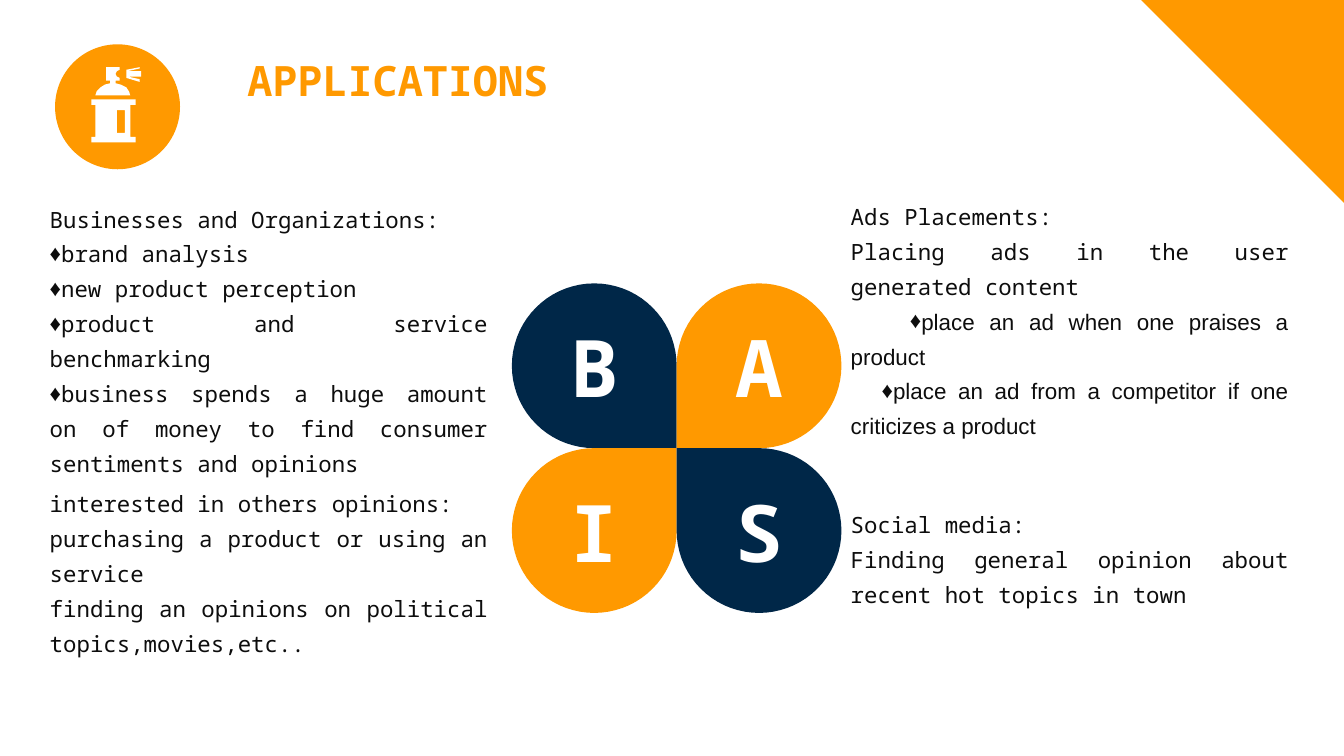
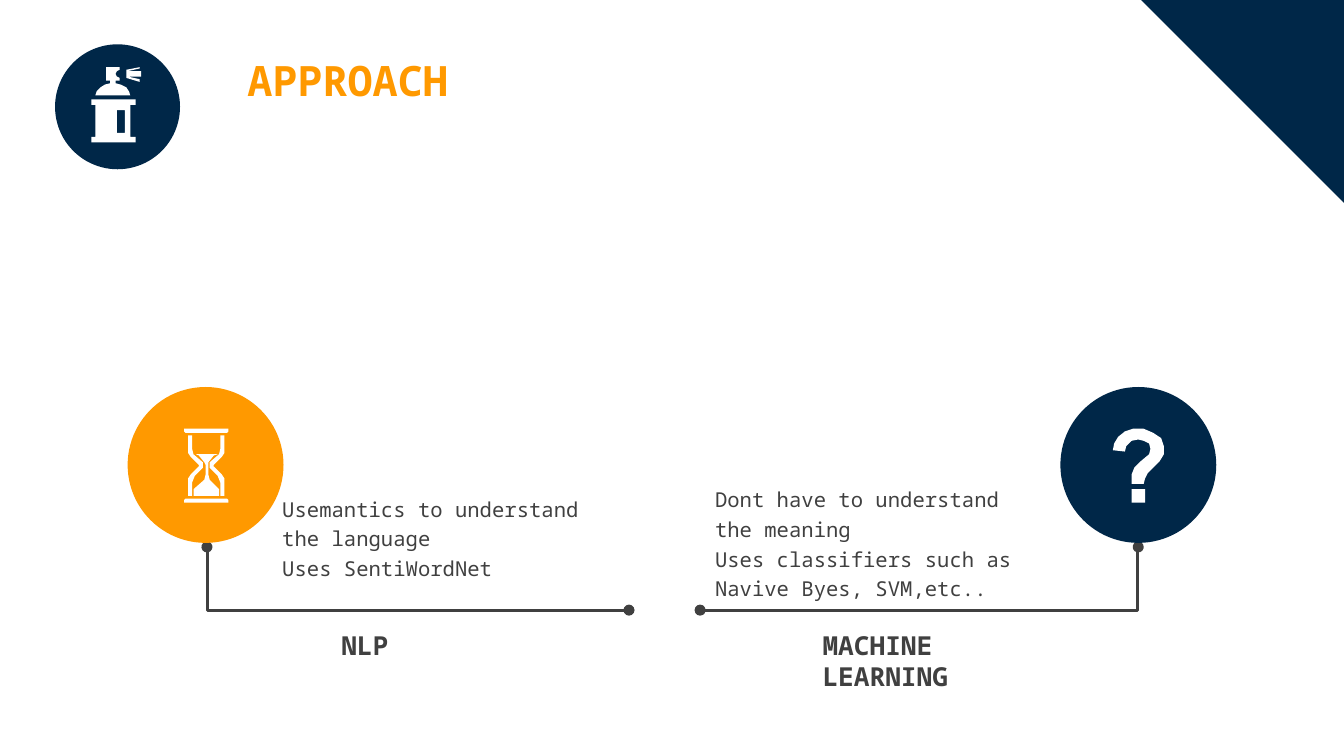
"""Build two slides on the applications of and approaches to sentiment analysis."""
from dataclasses import dataclass
from math import atan2, cos, radians, sin

from lxml.etree import SubElement
from pptx import Presentation
from pptx.dml.color import RGBColor
from pptx.enum.shapes import MSO_CONNECTOR, MSO_SHAPE
from pptx.enum.text import MSO_ANCHOR, MSO_AUTO_SIZE, PP_ALIGN
from pptx.oxml.ns import qn
from pptx.util import Inches, Pt


@dataclass(frozen=True)
class Theme:
    """Colours, fonts and type sizes shared by the slides."""

    orange: str = "FF9900"
    navy: str = "002748"
    white: str = "FFFFFF"
    ink: str = "0D0D0D"
    grey: str = "404040"
    font: str = "Noto Sans Mono"
    bullet_font: str = "Arial"
    title: float = 28
    letter: float = 42.5
    label: float = 14
    body: float = 12
    note: float = 11


THEME = Theme()
WIDTH = 10
HEIGHT = WIDTH * 9 / 16
COLUMNS, ROWS = (0.37, 6.33), (1.73, 3.38)
CELL_WIDTH, CELL_HEIGHTS = 3.26, (1.56, 1.51)
CIRCLE = 1.16
CROSS = (503.5, 333.5)
PETAL_RADIUS = 61.3

APPLICATIONS = [
    {"column": 0, "row": 0, "lines": [
        ("Businesses and Organizations:", None),
        ("brand analysis", 0),
        ("new product perception", 0),
        ("product and service benchmarking", 0),
        ("business spends a huge amount on of money to find consumer "
         "sentiments and opinions", 0)]},
    {"column": 0, "row": 1, "anchor": MSO_ANCHOR.BOTTOM, "lines": [
        ("interested in others opinions:", None),
        ("purchasing a product or using an service", None),
        ("finding an opinions on political topics,movies,etc..", None)]},
    {"column": 1, "row": 0, "bottom": 0.3, "bullet_text_font": THEME.bullet_font,
     "lines": [
         ("Ads Placements:", None),
         ("Placing ads in the user generated content", None),
         ("place an ad when one praises a product", 0.44),
         ("place an ad from a competitor if one criticizes a product", 0.23)]},
    {"column": 1, "row": 1, "lines": [
        ("Social media:", None),
        ("Finding general opinion about recent hot topics in town", None)]},
]
PETALS = [
    ("B", -1, -1, THEME.navy), ("A", 1, -1, THEME.orange),
    ("I", -1, 1, THEME.orange), ("S", 1, 1, THEME.navy),
]

SPRAY_CAN = [
    [(97, 78), (97, 102), (101, 102), (101, 106), (68, 106), (68, 102),
     (71, 102), (71, 78), (68, 78), (68, 74), (101, 74), (101, 78)],
    [(93, 82), (87, 82), (87, 99), (93, 99)],
    [(104, 59), (95, 57), (105, 57), (105, 53), (95, 53), (104, 51),
     (104, 50), (94, 52), (94, 58), (104, 61)],
    [(86, 60), (86, 62), (90, 63), (94, 65), (96, 68), (97, 71), (71, 71),
     (72, 68), (75, 65), (78, 63), (82, 62), (82, 60), (79, 60), (79, 50),
     (89, 50), (89, 52), (87, 53), (86, 55), (87, 57), (89, 58), (89, 60)],
]
GLASS_CAP = [(137, 319), (170, 319), (170, 321), (169, 322), (138, 322), (137, 321)]
GLASS_WALL = [
    (143, 324), (143, 334), (144, 338), (151, 344), (151, 348), (145, 354),
    (143, 359), (143, 369), (140, 369), (140, 356), (142, 353), (148, 347),
    (148, 346), (142, 340), (140, 337), (140, 324)]
SAND = [
    (144, 369), (163, 369), (163, 364), (156, 357), (155, 353), (155, 344),
    (159, 339), (162, 338), (146, 338), (148, 339), (152, 344), (153, 346),
    (153, 353), (152, 357), (144, 364)]
HOURGLASS = [
    [GLASS_CAP, [(x, 693 - y) for x, y in GLASS_CAP]],
    [GLASS_WALL, [(307 - x, y) for x, y in GLASS_WALL]],
    [SAND],
]
QUESTION_MARK = [[
    [(851, 360), (842, 360), (842, 353), (844, 348), (849, 343), (855, 338),
     (856, 334), (855, 330), (851, 328), (847, 327), (842, 328), (838, 332),
     (837, 336), (828, 335), (829, 330), (832, 325), (837, 321), (843, 319),
     (851, 319), (858, 322), (864, 326), (866, 332), (866, 338), (863, 343),
     (854, 352), (852, 356)],
    [(842, 364), (852, 364), (852, 374), (842, 374)],
]]

APPROACHES = [
    {"label": "NLP", "label_box": (2.19, 4.63, 1.05, 0.34), "align": PP_ALIGN.CENTER,
     "lines": ["Usemantics to understand the language", "Uses SentiWordNet"],
     "box": (2, 3.61, 2.49, 0.61), "circle": 0.95, "color": THEME.orange,
     "icon": HOURGLASS, "bend": (1.54, 4.68)},
    {"label": "MACHINE LEARNING", "label_box": (6.02, 4.63, 1.65, 0.81),
     "align": PP_ALIGN.LEFT,
     "lines": ["Dont have to understand the meaning",
               "Uses classifiers such as Navive Byes, SVM,etc.."],
     "box": (5.22, 3.54, 2.48, 0.61), "circle": 7.89, "color": THEME.navy,
     "icon": QUESTION_MARK, "bend": (8.47, 5.21)},
]


def place(shape, box):
    """Move a shape to a box given in inches."""
    shape.left, shape.top, shape.width, shape.height = map(Inches, box)


def paint(shape, color):
    """Give a shape a plain fill without line or shadow."""
    shape.shadow.inherit = False
    shape.fill.solid()
    shape.fill.fore_color.rgb = RGBColor.from_string(color)
    shape.line.fill.background()


def frame_text(shape, anchor, margins):
    """Set wrapping, anchor and margins (left, top, right, bottom)."""
    frame = shape.text_frame
    frame.word_wrap = True
    frame.auto_size = MSO_AUTO_SIZE.NONE
    frame.vertical_anchor = anchor
    (frame.margin_left, frame.margin_top,
     frame.margin_right, frame.margin_bottom) = map(Inches, margins)


def write(shape, lines, size, color, align, spacing=1.0, bold=False, bullet_text_font=None):
    """Write (text, bullet indent) lines, with no bullet where the indent is None."""
    frame = shape.text_frame
    for index, (text, indent) in enumerate(lines):
        paragraph = frame.add_paragraph() if index else frame.paragraphs[0]
        paragraph.text = text
        paragraph.alignment = align
        paragraph.line_spacing = spacing
        paragraph.space_before = paragraph.space_after = Pt(0)
        properties = paragraph._p.get_or_add_pPr()
        properties.set("marL", "0")
        properties.set("indent", str(Inches(indent or 0)))
        if indent is None:
            SubElement(properties, qn("a:buNone"))
        else:
            SubElement(properties, qn("a:buFont"), typeface=THEME.bullet_font)
            SubElement(properties, qn("a:buChar"), char="♦")
        font = paragraph.font
        font.name = THEME.font if indent is None else bullet_text_font or THEME.font
        font.size = Pt(size)
        font.bold = bold
        font.color.rgb = RGBColor.from_string(color)


def add_preset(slide, kind, box, color):
    """Add a plain preset shape."""
    shape = slide.shapes.add_shape(kind, *map(Inches, box))
    paint(shape, color)
    return shape


def add_outline(slide, contours, color):
    """Add a filled outline from contours in hundredths of an inch."""
    scaled = [[(Inches(x / 100), Inches(y / 100)) for x, y in contour]
              for contour in contours]
    builder = slide.shapes.build_freeform(*scaled[0][0])
    for index, contour in enumerate(scaled):
        if index:
            builder.move_to(*contour[0])
        builder.add_line_segments(contour[1:], close=True)
    shape = builder.convert_to_shape()
    paint(shape, color)
    return shape


def add_slide(presentation, title, color):
    """Add a slide with its title, badge and corner; return it with its bodies."""
    slide = presentation.slides.add_slide(presentation.slide_layouts[4])
    heading, *bodies = slide.placeholders
    place(heading, (1.78, 0.3, 5.98, 0.53))
    frame_text(heading, MSO_ANCHOR.TOP, (0.06, 0.03, 0.06, 0.03))
    write(heading, [(title, None)], THEME.title, THEME.orange, PP_ALIGN.LEFT, bold=True)
    heading.text_frame.paragraphs[0]._p.pPr.find(qn("a:defRPr")).set("cap", "small")
    add_preset(slide, MSO_SHAPE.OVAL, (0.41, 0.33, 0.93, 0.93), color)
    add_outline(slide, SPRAY_CAN, THEME.white)
    corner = add_preset(slide, MSO_SHAPE.RIGHT_TRIANGLE, (8.48, -0.01, 1.54, 1.54), color)
    corner.rotation = 180
    return slide, bodies


def add_petal(slide, letter, across, down, color):
    """Add a round petal whose sharp corner touches the cross point."""
    x, y = CROSS[0] + across * PETAL_RADIUS, CROSS[1] + down * PETAL_RADIUS
    start = atan2(-down, -across)
    angles = [start + radians(degree) for degree in range(45, 316, 5)]
    arc = [(x + PETAL_RADIUS * cos(angle), y + PETAL_RADIUS * sin(angle))
           for angle in angles]
    petal = add_outline(slide, [[CROSS, *arc]], color)
    frame_text(petal, MSO_ANCHOR.MIDDLE, (0.1, 0.05, 0.1, 0.05))
    write(petal, [(letter, None)], THEME.letter, THEME.white, PP_ALIGN.CENTER, bold=True)


def add_bend(slide, start, end):
    """Add an elbow line with round ends that drops first and then runs level."""
    bend = slide.shapes.add_connector(
        MSO_CONNECTOR.ELBOW, Inches(start), Inches(4.07), Inches(end), Inches(4.54))
    bend.line.color.rgb = RGBColor.from_string(THEME.grey)
    bend.line.width = Pt(1.5)
    properties = bend._element.spPr
    SubElement(properties.find(".//" + qn("a:avLst")), qn("a:gd"),
               name="adj1", fmla="val 200")
    for tag in ("a:headEnd", "a:tailEnd"):
        SubElement(properties.find(qn("a:ln")), qn(tag), type="oval")
    SubElement(properties, qn("a:effectLst"))


def build_applications(presentation):
    """Build the slide with four petals and four text blocks."""
    slide, bodies = add_slide(presentation, "applications", THEME.orange)
    for petal in PETALS:
        add_petal(slide, *petal)
    for body, block in zip(bodies, APPLICATIONS):
        row = block["row"]
        place(body, (COLUMNS[block["column"]], ROWS[row], CELL_WIDTH, CELL_HEIGHTS[row]))
        frame_text(body, block.get("anchor", MSO_ANCHOR.MIDDLE),
                   (0, 0, 0, block.get("bottom", 0)))
        write(body, block["lines"], THEME.body, THEME.ink, PP_ALIGN.JUSTIFY, 1.3,
              bullet_text_font=block.get("bullet_text_font"))


def build_approach(presentation):
    """Build the slide that sets two approaches side by side."""
    slide, bodies = add_slide(presentation, "approach", THEME.navy)
    for label, body, approach in zip(bodies[::2], bodies[1::2], APPROACHES):
        place(label, approach["label_box"])
        place(body, approach["box"])
        for shape in (label, body):
            frame_text(shape, MSO_ANCHOR.TOP, (0.1, 0.05, 0.1, 0.05))
        write(label, [(approach["label"], None)], THEME.label, THEME.grey,
              approach["align"], bold=True)
        write(body, [(line, None) for line in approach["lines"]], THEME.note,
              THEME.grey, PP_ALIGN.LEFT, 1.2)
        add_bend(slide, *approach["bend"])
        add_preset(slide, MSO_SHAPE.OVAL, (approach["circle"], 2.88, CIRCLE, CIRCLE),
                   approach["color"])
        for contours in approach["icon"]:
            add_outline(slide, contours, THEME.white)


def main():
    """Build and save the presentation."""
    presentation = Presentation()
    presentation.slide_width, presentation.slide_height = Inches(WIDTH), Inches(HEIGHT)
    build_applications(presentation)
    build_approach(presentation)
    presentation.save("out.pptx")


if __name__ == "__main__":
    main()
